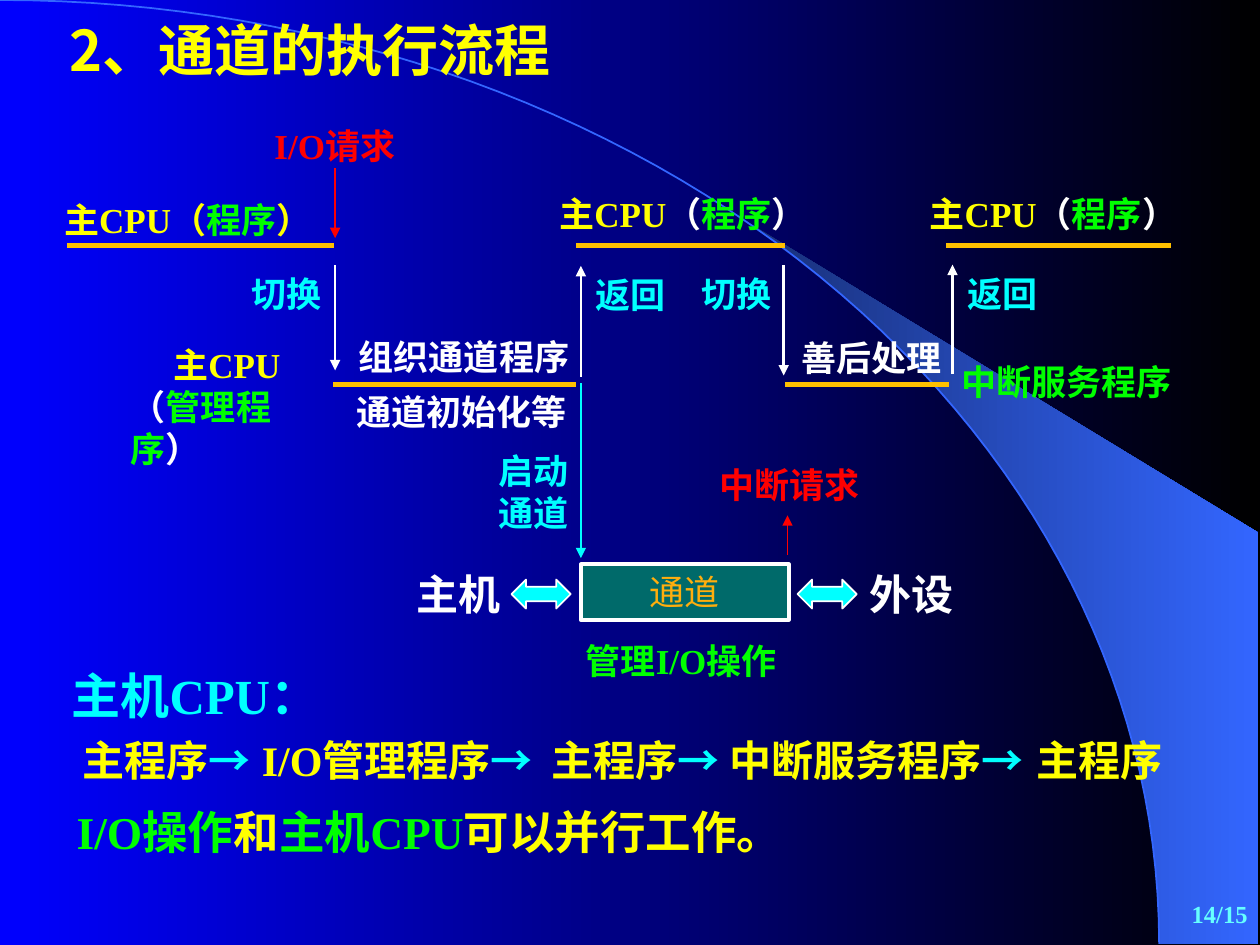
from math import asin, cos, pi, sin

from pptx import Presentation
from pptx.dml.color import RGBColor
from pptx.enum.shapes import MSO_CONNECTOR as CONN, MSO_SHAPE as SHAPE
from pptx.enum.text import MSO_ANCHOR as ANCHOR, MSO_AUTO_SIZE as AUTO, PP_ALIGN as ALIGN
from pptx.oxml.ns import qn
from pptx.util import Inches, Pt
from lxml.etree import SubElement

C = {
    "blue": "0000FF", "black": "000000", "navy": "182F76", "azure": "3366FF",
    "sky": "66FFFF", "gold": "FFC000", "amber": "FFAE0D", "teal": "006A6A",
    "yellow": "FFFF00", "green": "00FF00", "white": "FFFFFF",
    "red": "FF0000", "cyan": "00FFFF",
}
SERIF, SANS = "Times New Roman", "Noto Sans CJK SC"
ARC_W, ARC_H = 9.2, 7.49


def rgb(name):
    return RGBColor.from_string(C[name])


def set_gradient(fill, start, end):
    fill.gradient()
    fill.gradient_angle = 0
    for stop, name, position in zip(fill.gradient_stops, (start, end), (0, 1)):
        stop.color.rgb = rgb(name)
        stop.position = position


def set_line(shape, color, width):
    shape.line.color.rgb = rgb(color)
    shape.line.width = Pt(width)


def write(tf, paragraphs, size, font=SERIF, bold=True, align=ALIGN.LEFT,
          wrap=False, anchor=ANCHOR.TOP):
    tf.word_wrap = wrap
    tf.auto_size = AUTO.SHAPE_TO_FIT_TEXT
    tf.vertical_anchor = anchor
    if not wrap:
        tf.margin_right = 0
    for i, runs in enumerate(paragraphs):
        p = tf.paragraphs[0] if i == 0 else tf.add_paragraph()
        p.alignment = align
        for text, color in runs:
            r = p.add_run()
            r.text = text
            r.font.size = Pt(size)
            r.font.bold = bold
            r.font.name = font
            r.font.color.rgb = rgb(color)
            SubElement(r._r.get_or_add_rPr(), qn("a:ea")).set("typeface", SANS)


def add_text(s, x, y, w, h, runs, size=20, **style):
    tb = s.shapes.add_textbox(Inches(x), Inches(y), Inches(w), Inches(h))
    write(tb.text_frame, [runs], size, **style)
    return tb


def add_line(s, x1, y1, x2, y2, color, width, arrow=False):
    line = s.shapes.add_connector(
        CONN.STRAIGHT, Inches(x1), Inches(y1), Inches(x2), Inches(y2))
    set_line(line, color, width)
    ln = line.line._get_or_add_ln()
    ln.set("cap", "sq")
    if arrow:
        SubElement(ln, qn("a:tailEnd")).set("type", "triangle")
    SubElement(line._element.spPr, qn("a:effectLst"))


def add_preset(s, kind, x, y, w, h, fill, width):
    sp = s.shapes.add_shape(kind, Inches(x), Inches(y), Inches(w), Inches(h))
    sp.shadow.inherit = False
    sp.fill.solid()
    sp.fill.fore_color.rgb = rgb(fill)
    set_line(sp, "white", width)
    return sp


def arc_points(start, steps=60):
    angles = [start + (pi / 2 - start) * i / steps for i in range(steps + 1)]
    return [(Inches(ARC_W * sin(a)), Inches(ARC_H * (1 - cos(a)))) for a in angles]


def add_outline(s, points, close):
    builder = s.shapes.build_freeform(*points[0], scale=1.0)
    builder.add_line_segments(points[1:], close=close)
    sp = builder.convert_to_shape()
    sp.shadow.inherit = False
    return sp


def add_backdrop(s):
    set_gradient(s.background.fill, "blue", "black")
    corner = [(Inches(9.99), Inches(7.49)), (Inches(9.99), Inches(4.23))]
    beam = add_outline(s, arc_points(asin(5.89 / ARC_W)) + corner, True)
    set_gradient(beam.fill, "navy", "azure")
    beam.line.fill.background()
    arc = add_outline(s, arc_points(0), False)
    arc.fill.background()
    set_line(arc, "azure", 1)
    add_text(s, 7.92, 7, 2.08, 0.5, [("14/15", "sky")], 14,
             align=ALIGN.RIGHT, wrap=True, anchor=ANCHOR.MIDDLE)


def add_title(s):
    title = s.shapes.title
    title.left, title.top = Inches(0.45), Inches(0.07)
    title.width, title.height = Inches(4.22), Inches(0.64)
    write(title.text_frame, [[("2、通道的执行流程", "yellow")]], 32,
          font=SANS, anchor=ANCHOR.MIDDLE)
    s.shapes._spTree.append(title._element)


def add_timeline(s):
    for x1, x2, y in ((0.55, 2.63, 1.95), (4.59, 6.21, 1.95), (7.53, 9.27, 1.95),
                      (2.66, 4.55, 3.05), (6.25, 7.51, 3.05)):
        add_line(s, x1, y, x2, y, "gold", 3)
    for x, y, bracket in ((0.41, 1.53, "yellow"), (4.34, 1.48, "white"),
                          (7.28, 1.48, "white")):
        add_text(s, x, y, 2.29, 0.44, [("主CPU", "yellow"), ("（", bracket),
                                       ("程序", "green"), ("）", bracket)])
    manager = s.shapes.add_textbox(Inches(0.94), Inches(2.68), Inches(1.72), Inches(1.1))
    write(manager.text_frame,
          [[("主CPU", "yellow")],
           [("（", "white"), ("管理程序", "green"), ("）", "white")]], 20, wrap=True)
    manager.text_frame.paragraphs[0].alignment = ALIGN.CENTER

    for x, y1, y2, color, width in (
            (2.66, 1.34, 1.89, "red", 1), (6.25, 4.4, 4.09, "red", 1),
            (4.61, 3.05, 4.43, "cyan", 1),
            (2.66, 2.11, 2.94, "white", 1.5), (6.22, 2.11, 2.98, "white", 1.5),
            (4.61, 2.98, 2.11, "white", 1.5), (7.56, 2.96, 2.1, "white", 1.5)):
        add_line(s, x, y1, x, y2, color, width, arrow=True)

    for x, y, w, text, color in (
            (2.08, 0.94, 1.22, "I/O请求", "red"),
            (1.9, 2.11, 0.75, "切换", "cyan"),
            (4.63, 2.12, 0.75, "返回", "cyan"),
            (5.47, 2.11, 0.75, "切换", "cyan"),
            (7.58, 2.11, 0.75, "返回", "cyan"),
            (2.75, 2.61, 1.87, "组织通道程序", "white"),
            (2.73, 3.05, 1.87, "通道初始化等", "white"),
            (6.26, 2.62, 1.31, "善后处理", "white"),
            (7.53, 2.81, 1.87, "中断服务程序", "green"),
            (5.61, 3.63, 1.31, "中断请求", "red"),
            (4.55, 5.03, 1.85, "管理I/O操作", "green")):
        add_text(s, x, y, w, 0.44, [(text, color)])
    add_text(s, 3.67, 3.52, 0.94, 0.77, [("启动通道", "cyan")],
             align=ALIGN.RIGHT, wrap=True)


def add_channel(s):
    box = add_preset(s, SHAPE.RECTANGLE, 4.61, 4.48, 1.65, 0.44, "teal", 2.25)
    write(box.text_frame, [[("通道", "amber")]], 20, font=SANS, bold=False,
          align=ALIGN.CENTER, wrap=True)
    for arrow_x, text_x, text in ((4.06, 3.21, "主机"), (6.33, 6.8, "外设")):
        add_preset(s, SHAPE.LEFT_RIGHT_ARROW, arrow_x, 4.6, 0.47, 0.23, "cyan", 1)
        add_text(s, text_x, 4.46, 0.86, 0.5, [(text, "white")], 24, font=SANS)


def add_summary(s):
    add_text(s, 0.47, 5.23, 2.35, 0.57, [("主机CPU：", "cyan")], 28)
    for x, w, text, arrow in (
            (0.56, 1.53, "主程序", "→"), (1.98, 2.43, "I/O管理程序", "→"),
            (4.28, 1.53, "主程序", "→"), (5.69, 2.53, "中断服务程序", "→"),
            (8.13, 1.2, "主程序", "")):
        runs = [(text, "yellow")] + ([(arrow, "cyan")] if arrow else [])
        add_text(s, x, 5.78, w, 0.5, runs, 24)
    add_text(s, 0.51, 6.33, 6.06, 0.54,
             [("I/O操作", "green"), ("和", "yellow"),
              ("主机CPU", "green"), ("可以并行工作。", "yellow")], 26)


def main():
    prs = Presentation()
    prs.slide_width, prs.slide_height = Inches(10), Inches(7.5)
    s = prs.slides.add_slide(prs.slide_layouts[5])
    add_backdrop(s)
    add_timeline(s)
    add_channel(s)
    add_title(s)
    add_summary(s)
    prs.save("out.pptx")


if __name__ == "__main__":
    main()
